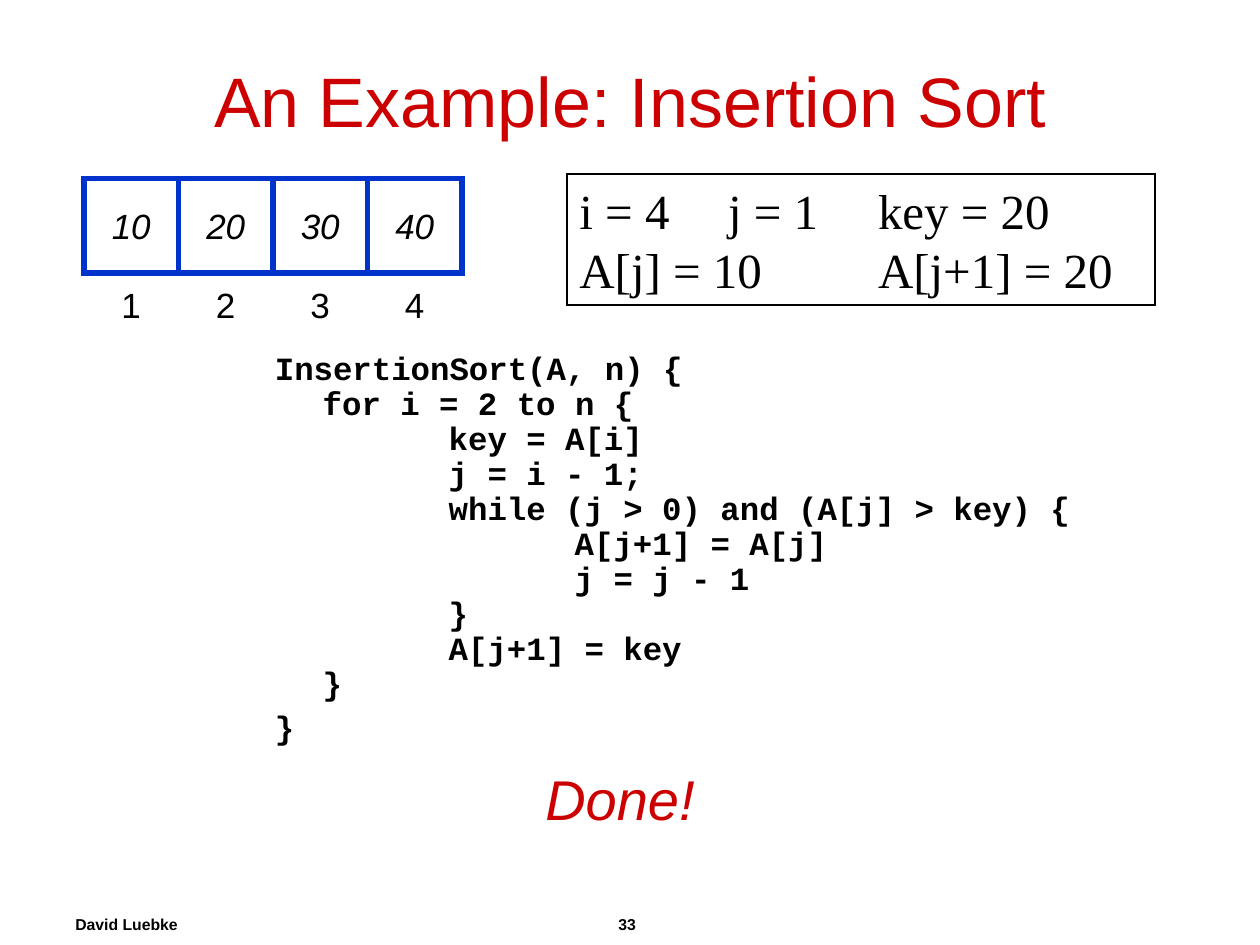
from dataclasses import dataclass

from lxml import etree
from pptx import Presentation
from pptx.dml.color import RGBColor
from pptx.enum.shapes import MSO_SHAPE
from pptx.enum.text import MSO_ANCHOR, PP_ALIGN
from pptx.oxml.ns import qn
from pptx.util import Inches, Pt

RECTANGLE = MSO_SHAPE.RECTANGLE
TOP, MIDDLE = MSO_ANCHOR.TOP, MSO_ANCHOR.MIDDLE
LEFT, CENTER = PP_ALIGN.LEFT, PP_ALIGN.CENTER

COLUMNS, ROWS = 120, 90
SLIDE_WIDTH, SLIDE_HEIGHT = Inches(10), Inches(7.5)

CODE = """InsertionSort(A, n) {
for i = 2 to n {
\tkey = A[i]
\tj = i - 1;
\twhile (j > 0) and (A[j] > key) {
\t\tA[j+1] = A[j]
\t\tj = j - 1
\t}
\tA[j+1] = key
}"""
VARIABLES = "i = 4\tj = 1\tkey = 20\nA[j] = 10\tA[j+1] = 20"


@dataclass(frozen=True)
class Theme:
    """Colours, typefaces and type sizes of the slide."""
    ink: RGBColor = RGBColor(0x00, 0x00, 0x00)
    paper: RGBColor = RGBColor(0xFF, 0xFF, 0xFF)
    accent: RGBColor = RGBColor(0xCC, 0x00, 0x00)
    cell_border: RGBColor = RGBColor(0x00, 0x33, 0xCC)
    sans: str = "Arial"
    serif: str = "Times New Roman"
    mono: str = "Courier New"
    title_size: float = 40
    verdict_size: float = 32
    variable_size: float = 28
    array_size: float = 20
    code_size: float = 18.5
    footer_size: float = 9


THEME = Theme()


def place(box):
    """Turn a box in grid columns and rows into slide lengths."""
    left, top, width, height = box
    column, row = SLIDE_WIDTH / COLUMNS, SLIDE_HEIGHT / ROWS
    return round(left * column), round(top * row), round(width * column), round(height * row)


def set_tabs(paragraph, stops):
    """Give a paragraph tab stops as (inches, alignment) pairs."""
    tab_list = etree.SubElement(paragraph._p.get_or_add_pPr(), qn("a:tabLst"))
    for inches, alignment in stops:
        etree.SubElement(tab_list, qn("a:tab"), pos=str(Inches(inches)), algn=alignment)


def write(paragraph, text, size, face, color=THEME.ink, align=LEFT, bold=False, italic=False, tabs=()):
    """Fill one paragraph and style it."""
    paragraph.text = text
    if tabs:
        set_tabs(paragraph, tabs)
    paragraph.alignment = align
    font = paragraph.font
    font.size, font.name, font.bold, font.italic = Pt(size), face, bold, italic
    font.color.rgb = color


def add_text(slide, box, anchor=MIDDLE, wrap=True):
    """Add a text box and return its text frame."""
    frame = slide.shapes.add_textbox(*place(box)).text_frame
    frame.word_wrap, frame.vertical_anchor = wrap, anchor
    return frame


def add_panel(slide, box, border=None, border_width=0, wrap=False):
    """Add a sharp-cornered rectangle and return its text frame."""
    panel = slide.shapes.add_shape(RECTANGLE, *place(box))
    panel.shadow.inherit = False
    panel.fill.solid()
    panel.fill.fore_color.rgb = THEME.paper
    if border is None:
        panel.line.fill.background()
    else:
        panel.line.color.rgb = border
        panel.line.width = Pt(border_width)
        outline = panel._element.spPr.find(qn("a:ln"))
        etree.SubElement(outline, qn("a:miter"), lim="800000")
    frame = panel.text_frame
    frame.word_wrap, frame.vertical_anchor = wrap, MIDDLE
    return frame


def add_title(slide, box):
    """Write the slide title."""
    write(add_text(slide, box).paragraphs[0], "An Example: Insertion Sort",
          THEME.title_size, THEME.sans, THEME.accent, CENTER)


def add_array(slide, box, values):
    """Draw the array cells with their indices below."""
    left, top, width, height = box
    cell = width / len(values)
    index_height = height - cell - 1
    for position, value in enumerate(values):
        x = left + position * cell
        element = add_panel(slide, (x, top, cell, cell), THEME.cell_border, 3)
        write(element.paragraphs[0], str(value), THEME.array_size, THEME.sans,
              align=CENTER, italic=True)
        index = add_panel(slide, (x, top + cell + 1, cell, index_height))
        write(index.paragraphs[0], str(position + 1), THEME.array_size, THEME.sans, align=CENTER)


def add_variables(slide, box):
    """Show the current values of the variables."""
    frame = add_panel(slide, box, THEME.ink, 1, wrap=True)
    write(frame.paragraphs[0], VARIABLES, THEME.variable_size, THEME.serif,
          tabs=[(1.18, "l"), (2.37, "l")])


def add_code(slide, box):
    """List the insertion sort procedure."""
    frame = add_text(slide, box, TOP)
    body, closing = frame.paragraphs[0], frame.add_paragraph()
    for paragraph, text in ((body, CODE), (closing, "}")):
        write(paragraph, text, THEME.code_size, THEME.mono, bold=True)
        paragraph.line_spacing = 0.9
        properties = paragraph._p.get_or_add_pPr()
        properties.set("marL", str(Inches(0.38)))
        properties.set("indent", str(Inches(-0.38)))
        properties.set("defTabSz", str(Inches(1)))
    closing.space_before = Pt(5)


def add_verdict(slide, box):
    """Announce that the sort has ended."""
    write(add_text(slide, box, wrap=False).paragraphs[0], "Done!", THEME.verdict_size,
          THEME.sans, THEME.accent, CENTER, italic=True)


def add_footer(slide, box):
    """Write the author and the page number."""
    write(add_text(slide, box).paragraphs[0], "David Luebke\t33", THEME.footer_size,
          THEME.sans, bold=True, tabs=[(4.38, "ctr")])


def main():
    """Build the slide and save it."""
    deck = Presentation()
    deck.slide_width, deck.slide_height = SLIDE_WIDTH, SLIDE_HEIGHT
    slide = deck.slides.add_slide(deck.slide_layouts[6])
    add_footer(slide, (6, 86, 108, 4))
    add_title(slide, (6, 3, 108, 13))
    add_code(slide, (25, 33, 89, 44))
    add_array(slide, (8, 17, 36, 14), [10, 20, 30, 40])
    add_variables(slide, (54, 16.55, 56, 12.5))
    add_verdict(slide, (50.7, 72.2, 16.7, 7.7))
    deck.save("out.pptx")


if __name__ == "__main__":
    main()
